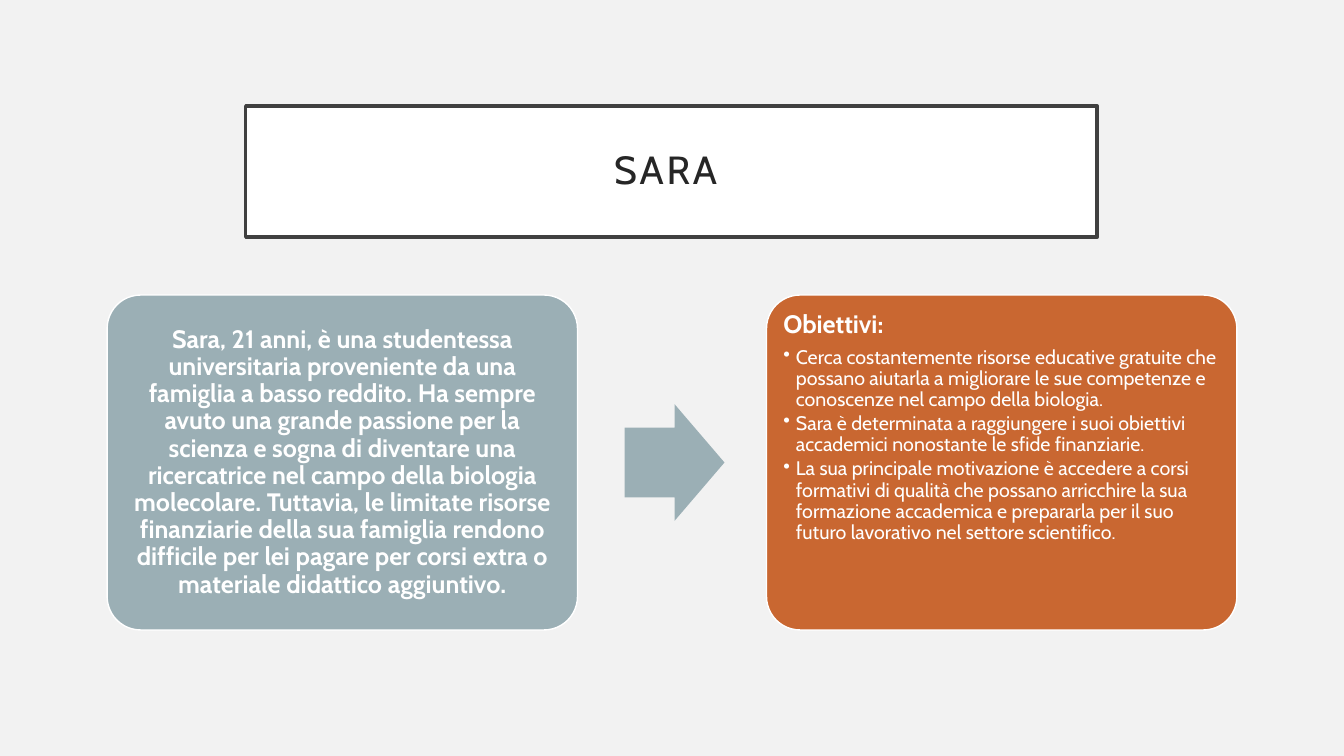
from lxml import etree
from pptx import Presentation
from pptx import util as u
from pptx.dml.color import RGBColor
from pptx.enum import shapes, text
from pptx.oxml import ns

PX = 9525  # EMU per px, 96 px to the inch
FONT = "Cabin"
WHITE, SAGE, RUST = "FFFFFF", "9BAFB5", "C96731"
CARD_TOP, CARD_WIDTH, CARD_HEIGHT = 281, 448, 319
CARD_INSET, TEXT_MARGIN, BULLET_INDENT = 9, 7, 12

PROFILE = (
    "Sara, 21 anni, è una studentessa universitaria proveniente da una famiglia "
    "a basso reddito. Ha sempre avuto una grande passione per la scienza e sogna "
    "di diventare una ricercatrice nel campo della biologia molecolare. Tuttavia, "
    "le limitate risorse finanziarie della sua famiglia rendono difficile per lei "
    "pagare per corsi extra o materiale didattico aggiuntivo."
)
GOALS = [
    "Cerca costantemente risorse educative gratuite che possano aiutarla a "
    "migliorare le sue competenze e conoscenze nel campo della biologia.",
    "Sara è determinata a raggiungere i suoi obiettivi accademici nonostante "
    "le sfide finanziarie.",
    "La sua principale motivazione è accedere a corsi formativi di qualità che "
    "possano arricchire la sua formazione accademica e prepararla per il suo "
    "futuro lavorativo nel settore scientifico.",
]


def px(*lengths):
    return [u.Emu(length * PX) for length in lengths]


def color(value):
    return RGBColor.from_string(value)


def add_box(page, kind, bounds, fill, line=None, width=1, adjustments=()):
    box = page.shapes.add_shape(kind, *px(*bounds))
    box.shadow.inherit = False
    box.fill.solid()
    box.fill.fore_color.rgb = color(fill)
    if line:
        box.line.color.rgb = color(line)
        box.line.width = u.Pt(width)
    else:
        box.line.fill.background()
    for index, value in enumerate(adjustments):
        box.adjustments[index] = value
    return box


def set_frame(frame, margin, anchor):
    frame.word_wrap = True
    frame.vertical_anchor = anchor
    frame.margin_left, frame.margin_top, frame.margin_right, frame.margin_bottom = px(*[margin] * 4)


def write(para, words, size, fill=WHITE, bold=False, align=text.PP_ALIGN.LEFT, after=0):
    para.text = words
    para.alignment = align
    para.line_spacing = 0.9
    para.space_after = u.Pt(after)
    span = para.runs[0]
    span.font.name = FONT
    span.font.size = u.Pt(size)
    span.font.bold = bold
    span.font.color.rgb = color(fill)
    return span


def add_bullet(para):
    properties = para._p.get_or_add_pPr()
    indent = BULLET_INDENT * PX
    properties.set("marL", str(indent))
    properties.set("indent", str(-indent))
    etree.SubElement(properties, ns.qn("a:buChar")).set("char", "•")


def add_title(page, words):
    box = add_box(page, shapes.MSO_SHAPE.RECTANGLE, (234, 101, 811, 125), WHITE, "404040", 2.5)
    set_frame(box.text_frame, 19, text.MSO_ANCHOR.MIDDLE)
    span = write(box.text_frame.paragraphs[0], words, 28, "262626", align=text.PP_ALIGN.CENTER)
    span._r.get_or_add_rPr().set("spc", "200")


def add_card(page, left, fill, anchor):
    """Draw a rounded card and return the text frame laid over it."""
    add_box(page, shapes.MSO_SHAPE.ROUNDED_RECTANGLE, (left, CARD_TOP, CARD_WIDTH, CARD_HEIGHT),
            fill, WHITE, adjustments=[0.1])
    box = page.shapes.add_textbox(*px(left + CARD_INSET, CARD_TOP + CARD_INSET,
                                      CARD_WIDTH - 2 * CARD_INSET, CARD_HEIGHT - 2 * CARD_INSET))
    set_frame(box.text_frame, TEXT_MARGIN, anchor)
    return box.text_frame


def main():
    deck = Presentation()
    deck.slide_width, deck.slide_height = px(1280, 720)
    page = deck.slides.add_slide(deck.slide_layouts[6])
    page.background.fill.solid()
    page.background.fill.fore_color.rgb = color("F2F2F2")

    # Title
    add_title(page, "SARA ")

    # Profile card
    profile = add_card(page, 102, SAGE, text.MSO_ANCHOR.MIDDLE)
    write(profile.paragraphs[0], PROFILE, 18, bold=True, align=text.PP_ALIGN.CENTER, after=6)

    # Arrow from profile to goals
    add_box(page, shapes.MSO_SHAPE.RIGHT_ARROW, (595, 385, 95, 111), SAGE, adjustments=[0.6, 0.5])

    # Goals card
    goals = add_card(page, 730, RUST, text.MSO_ANCHOR.TOP)
    write(goals.paragraphs[0], "Obiettivi:", 18, bold=True, after=6)
    for goal in GOALS:
        para = goals.add_paragraph()
        write(para, goal, 14, after=2)
        para.level = 1
        add_bullet(para)

    deck.save("out.pptx")


if __name__ == "__main__":
    main()
